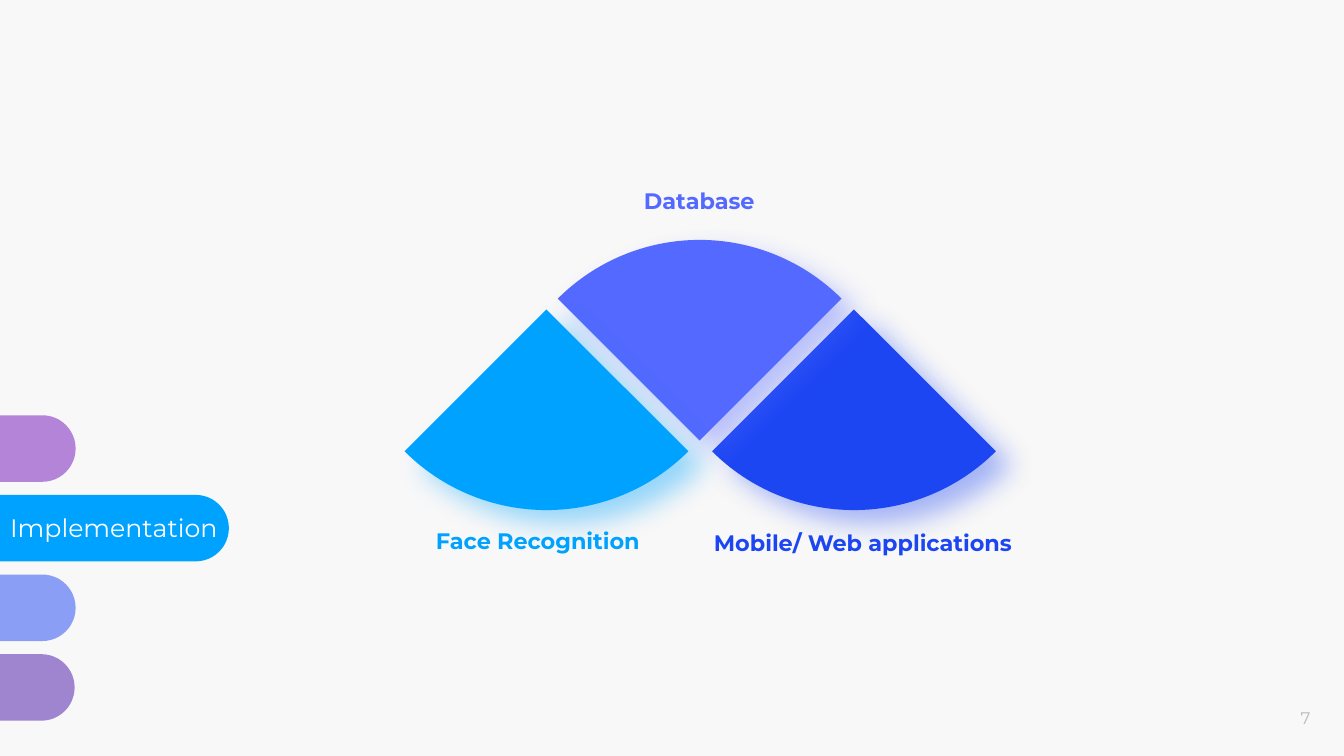
from dataclasses import dataclass
from math import radians, sqrt, tan

from lxml import etree
from pptx import Presentation
from pptx.dml.color import RGBColor
from pptx.enum.shapes import MSO_SHAPE as Shape
from pptx.enum.text import MSO_ANCHOR as Anchor, MSO_AUTO_SIZE as AutoSize, PP_ALIGN as Align
from pptx.oxml.ns import qn
from pptx.util import Inches, Pt


@dataclass(frozen=True)
class Theme:
    """Hold the colours, font and type sizes of the slide."""
    font: str = "Montserrat"
    background: str = "F8F8F8"
    white: str = "FFFFFF"
    grey: str = "BABABA"
    sky: str = "00A2FF"
    indigo: str = "5369FF"
    royal: str = "1D46F3"
    purple: str = "6F11B7"
    violet: str = "4811A7"
    title_size: int = 18
    label_size: int = 16
    number_size: int = 12


THEME = Theme()
SECTOR_RADIUS = 1.99
SECTOR_CORNER = SECTOR_RADIUS / sqrt(2)
ARC_HANDLE = SECTOR_RADIUS * 4 / 3 * tan(radians(45 / 4))
TAB_HEIGHT = 0.66
TAB_TOP, TAB_STEP = 4.12, 0.79


def apply_formats(target, formats):
    """Set each attribute in a dict of format values."""
    for name, value in formats.items():
        setattr(target, name, value)


def add_alpha(colour, percent):
    """Give a colour element an opacity in percent."""
    etree.SubElement(colour, qn("a:alpha"), val=str(percent * 1000))


def paint(shape, colour, opacity=100):
    """Fill a shape without outline or inherited shadow."""
    shape.shadow.inherit = False
    shape.line.fill.background()
    shape.fill.solid()
    shape.fill.fore_color.rgb = RGBColor.from_string(colour)
    if opacity < 100:
        add_alpha(shape._element.spPr.find(".//" + qn("a:srgbClr")), opacity)


def add_tab(slide, left, top, width, colour, opacity):
    """Add a rounded tab that runs in from the left edge."""
    tab = slide.shapes.add_shape(
        Shape.ROUNDED_RECTANGLE, Inches(left), Inches(top), Inches(width), Inches(TAB_HEIGHT))
    tab.adjustments[0] = 0.5
    paint(tab, colour, opacity)


def add_glow_shadow(shape, colour, opacity):
    """Cast a soft coloured shadow to the lower right."""
    effects = shape._element.spPr.find(qn("a:effectLst"))
    shadow = etree.SubElement(
        effects, qn("a:outerShdw"), blurRad=str(Pt(20)), dist=str(Pt(15)),
        dir=str(40 * 60000), algn="tl", rotWithShape="0")
    add_alpha(etree.SubElement(shadow, qn("a:srgbClr"), val=colour), opacity)


def bend(segment, handles):
    """Turn a straight segment into a curve with two handles."""
    segment.tag = qn("a:cubicBezTo")
    for position, (x, y) in enumerate(handles):
        segment.insert(position, etree.Element(qn("a:pt"), x=str(x), y=str(y)))


def add_sector(slide, apex_x, apex_y, direction, colour, shadow_opacity):
    """Add a quarter-circle sector, opening down for 1 and up for -1."""
    def place(x, y):
        """Place a point relative to the apex."""
        return Inches(apex_x + x), Inches(apex_y + direction * y)

    reach = ARC_HANDLE / sqrt(2)
    outline = slide.shapes.build_freeform(*place(-SECTOR_CORNER, SECTOR_CORNER))
    outline.add_line_segments([place(0, SECTOR_RADIUS), place(SECTOR_CORNER, SECTOR_CORNER),
                               place(0, 0)], close=True)
    sector = outline.convert_to_shape()
    handles = [[(reach - SECTOR_CORNER, SECTOR_CORNER + reach), (-ARC_HANDLE, SECTOR_RADIUS)],
               [(ARC_HANDLE, SECTOR_RADIUS), (SECTOR_CORNER - reach, SECTOR_CORNER + reach)]]
    segments = list(sector._element.iter(qn("a:lnTo")))
    for segment, pair in zip(segments, handles):
        points = [place(*handle) for handle in pair]
        bend(segment, [(x - sector.left, y - sector.top) for x, y in points])
    paint(sector, colour)
    add_glow_shadow(sector, colour, shadow_opacity)


def write(box, text, size, colour, bold=False, frame_formats=None, paragraph_formats=None):
    """Write one formatted paragraph into a box."""
    frame = box.text_frame
    apply_formats(frame, {"word_wrap": True, "auto_size": AutoSize.NONE,
                          "vertical_anchor": Anchor.TOP, **(frame_formats or {})})
    paragraph = frame.paragraphs[0]
    paragraph.text = text
    apply_formats(paragraph, {"alignment": Align.CENTER, **(paragraph_formats or {})})
    apply_formats(paragraph.font, {"name": THEME.font, "size": Pt(size), "bold": bold})
    paragraph.font.color.rgb = RGBColor.from_string(colour)


def add_text(slide, left, top, width, height, *content, **formats):
    """Add a text box with one formatted paragraph."""
    box = slide.shapes.add_textbox(Inches(left), Inches(top), Inches(width), Inches(height))
    write(box, *content, **formats)


def place_title(slide, text):
    """Set the title over the active tab."""
    title = slide.shapes.title
    apply_formats(title, {"left": Inches(0), "top": Inches(5.03),
                          "width": Inches(2.27), "height": Inches(0.4)})
    write(title, text, THEME.title_size, THEME.white,
          frame_formats={"margin_left": Inches(0.1), "margin_right": 0,
                         "margin_top": Inches(0.05), "margin_bottom": Inches(0.05)},
          paragraph_formats={"alignment": Align.LEFT, "line_spacing": 1.0, "space_before": Pt(0)})
    slide.shapes._spTree.append(title._element)


def main():
    """Build the slide and save it."""
    deck = Presentation()
    apply_formats(deck, {"slide_width": Inches(13.33), "slide_height": Inches(7.5)})
    slide = deck.slides.add_slide(deck.slide_layouts[5])
    slide.background.fill.solid()
    slide.background.fill.fore_color.rgb = RGBColor.from_string(THEME.background)

    tabs = [(-4.72, 5.47, THEME.purple, 50), (-3.45, 5.72, THEME.sky, 100),
            (-4.72, 5.47, THEME.royal, 50), (-3.45, 4.19, THEME.violet, 50)]
    for row, (left, width, colour, opacity) in reversed(list(enumerate(tabs))):
        add_tab(slide, left, TAB_TOP + row * TAB_STEP, width, colour, opacity)
    place_title(slide, "Implementation")

    sectors = [(8.47, 3.07, 1, THEME.royal, 38), (6.94, 4.37, -1, THEME.indigo, 38),
               (5.42, 3.07, 1, THEME.sky, 40)]
    for sector in sectors:
        add_sector(slide, *sector)

    labels = [(3.46, 5.21, 3.75, "Face Recognition", THEME.sky),
              (4.81, 1.84, 4.25, "Database", THEME.indigo),
              (6.83, 5.23, 3.46, "Mobile/ Web applications", THEME.royal)]
    for left, top, width, text, colour in labels:
        add_text(slide, left, top, width, 0.41, text, THEME.label_size, colour, True,
                 paragraph_formats={"line_spacing": 0.9})

    no_margins = dict.fromkeys(("margin_left", "margin_right", "margin_top", "margin_bottom"), 0)
    add_text(slide, 12.57, 6.75, 0.76, 0.75, "7", THEME.number_size, THEME.grey,
             frame_formats={"vertical_anchor": Anchor.MIDDLE, **no_margins})
    deck.save("out.pptx")


if __name__ == "__main__":
    main()
